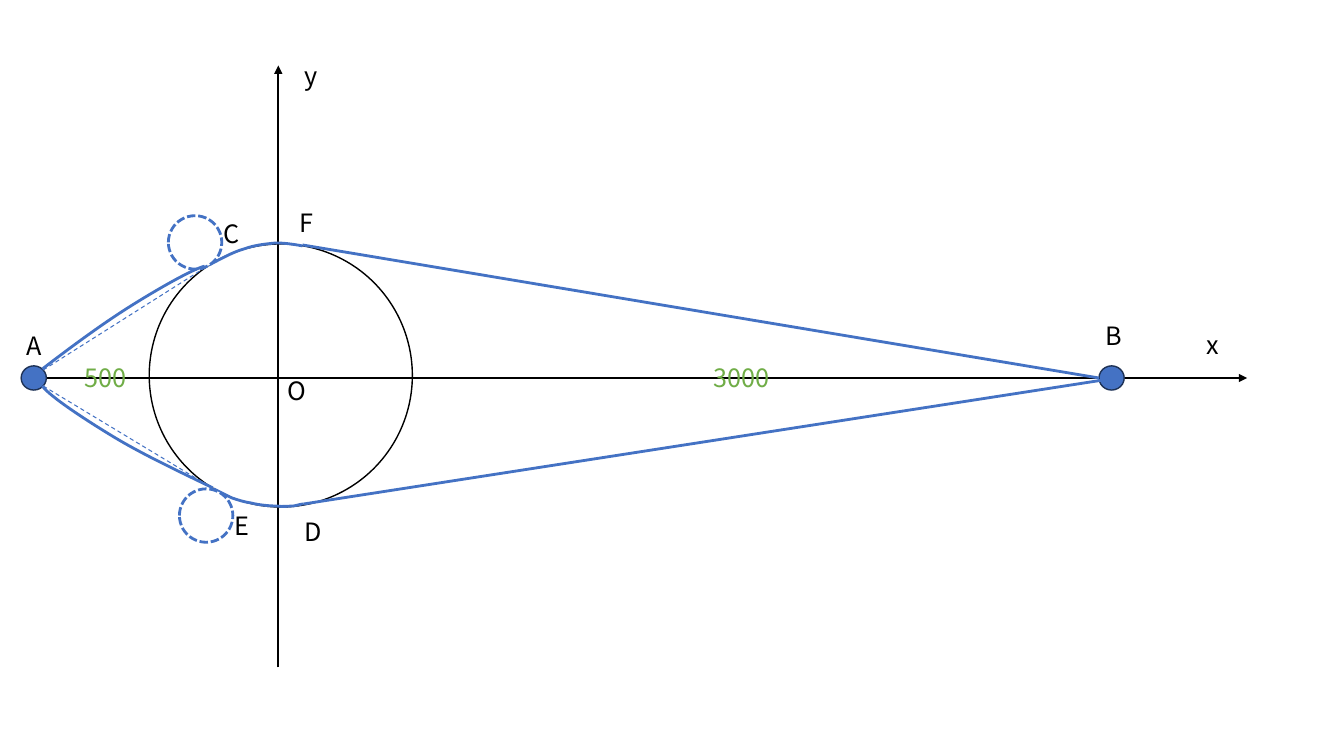
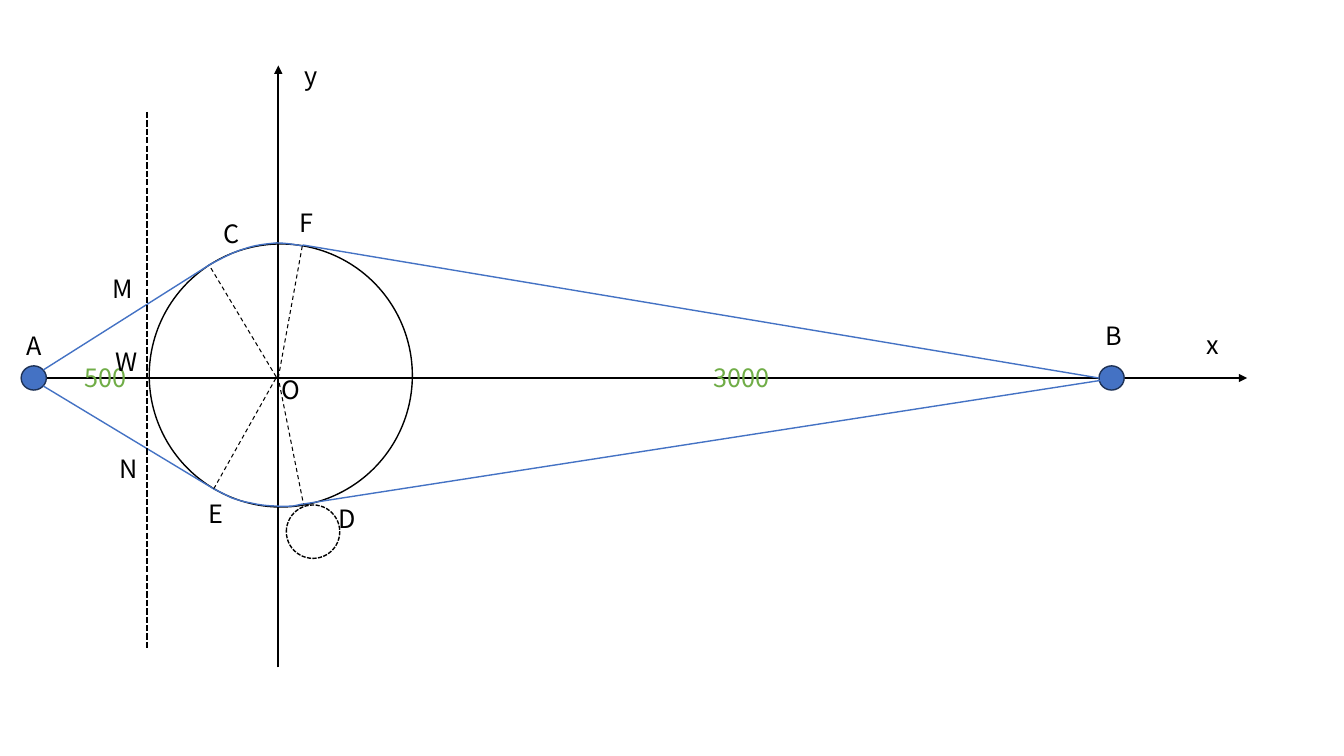
from lxml import etree
from pptx import Presentation
from pptx import util as u
from pptx.dml import color
from pptx.enum import dml, shapes, text
from pptx.oxml import ns

COLORS = {"ink": "000000", "paper": "FFFFFF", "blue": "4472C4", "navy": "1E3256", "green": "70AD47"}
RGB = {name: color.RGBColor.from_string(value) for name, value in COLORS.items()}
FONT = {"name": "Noto Sans CJK SC", "size": u.Pt(18)}
FRAME = {"word_wrap": True, "auto_size": text.MSO_AUTO_SIZE.SHAPE_TO_FIT_TEXT}
DASH = dml.MSO_LINE.DASH
SHORT_DASH = dml.MSO_LINE.SQUARE_DOT

A_TOP, A_LOW = (0.43, 3.67), (0.43, 3.83)
C, D, E, F = (2.09, 2.62), (3.01, 5), (2.12, 4.85), (3, 2.43)
ARC_CF = [(2.07, 2.63), (2.19, 2.57), (2.31, 2.5), (2.42, 2.47), (2.53, 2.43),
          (2.64, 2.42), (2.74, 2.41), (2.83, 2.41), (2.95, 2.43), (3, 2.44)]
ARC_ED = [E, (2.18, 4.88), (2.24, 4.91), (2.3, 4.94), (2.36, 4.96), (2.42, 4.98),
          (2.49, 4.99), (2.57, 5.01), (2.67, 5.02), (2.74, 5.02), (2.81, 5.03),
          (2.87, 5.02), (2.91, 5.02), (2.96, 5.01), (2.99, 5), D]
BEND_AC = [(0.42, 3.66), (0.72, 3.43), (1.02, 3.21), (1.29, 3.04), (1.56, 2.87), (1.91, 2.67), (2.03, 2.64)]
BEND_EA = [(2.11, 4.84), (1.76, 4.67), (1.4, 4.5), (1.12, 4.33), (0.84, 4.16), (0.49, 3.93), (0.42, 3.83)]

AXES = [((0.4, 3.75), (12.37, 3.75)), ((2.76, 6.62), (2.76, 0.65))]
RADII = [((2.76, 3.75), F), (E, (2.76, 3.71)), ((2.74, 3.74), (2.08, 2.64)), ((2.77, 3.8), D)]
LABELS = [("3000", 6.98, 3.55, 1.61, "green"), ("x", 11.87, 3.22, 0.45, "ink"),
          ("y", 2.92, 0.55, 0.56, "ink"), ("A", 0.16, 3.23, 0.38, "ink"),
          ("B", 10.87, 3.13, 0.45, "ink"), ("500", 0.74, 3.55, 1.12, "green"),
          ("C", 2.12, 2.12, 0.32, "ink"), ("F", 2.87, 2.01, 0.42, "ink")]

SLIDES = [
    {"route": 2, "tangent": (0.75, DASH), "dashed": [],
     "under": [], "over": [(1.67, 2.14), (1.78, 4.85)], "ring": ("blue", 2),
     "bends": [BEND_AC, BEND_EA],
     "labels": [("E", 2.23, 5.01, 0.42, "ink"), ("D", 2.92, 5.07, 0.52, "ink"),
                ("O", 2.75, 3.67, 0.52, "ink")]},
    {"route": 1, "tangent": (1, None),
     "dashed": [(a, b, 0.75, DASH) for a, b in RADII] + [((1.46, 1.11), (1.46, 6.45), 1.5, SHORT_DASH)],
     "under": [(2.84, 5.01)], "over": [], "ring": ("ink", 1),
     "bends": [],
     "labels": [("E", 1.97, 4.89, 0.42, "ink"), ("D", 3.26, 4.94, 0.52, "ink"),
                ("O", 2.69, 3.66, 0.52, "ink"), ("M", 1.02, 2.66, 0.63, "ink"),
                ("N", 1.09, 4.45, 1.24, "ink"), ("W", 1.05, 3.39, 1.04, "ink")]},
]


def outline(sp, ink, width, dash=None, arrow=False):
    sp.line.color.rgb = RGB[ink]
    sp.line.width = u.Pt(width)
    if dash:
        sp.line.dash_style = dash
    spPr = sp._element.spPr
    if arrow:
        etree.SubElement(spPr.find(ns.qn("a:ln")), ns.qn("a:tailEnd"), type="triangle")
    etree.SubElement(spPr, ns.qn("a:effectLst"))


def add_curve(s, points):
    builder = s.shapes.build_freeform(*map(u.Inches, points[0]))
    builder.add_line_segments([tuple(map(u.Inches, point)) for point in points[1:]], close=False)
    sp = builder.convert_to_shape()
    segments = list(sp._element.iter(ns.qn("a:lnTo")))
    for i in range(0, len(segments), 3):
        cubic = etree.SubElement(segments[i].getparent(), ns.qn("a:cubicBezTo"))
        for segment in segments[i:i + 3]:
            cubic.append(segment[0])
            segment.getparent().remove(segment)
    sp.fill.background()
    return sp


prs = Presentation()
prs.slide_width = u.Inches(13.33)
prs.slide_height = u.Inches(7.5)

for fig in SLIDES:
    s = prs.slides.add_slide(prs.slide_layouts[6])
    route = fig["route"]
    ring_ink, ring_width = fig["ring"]

    circle = (1.48, 2.42, 2.61, 2.61, "paper", "ink", 1)
    dots = [(x, 3.63, 0.25, 0.24, "blue", "navy", 1) for x in (0.21, 10.9)]
    under, over = [[(x, y, 0.53, 0.53, "paper", ring_ink, ring_width, SHORT_DASH) for x, y in fig[layer]]
                   for layer in ("under", "over")]
    axes = [(a, b, "ink", 1.5, None, True) for a, b in AXES]
    tangents = [(a, b, "blue", *fig["tangent"]) for a, b in ((A_TOP, C), (A_LOW, E))]
    routes = [(a, b, "blue", route) for a, b in (((10.9, 3.75), F), ((11.07, 3.75), D))]
    dashed = [(a, b, "ink", width, dash) for a, b, width, dash in fig["dashed"]]

    layers = [([circle], axes, []),
              (dots + under, tangents + routes + dashed, [ARC_CF, ARC_ED]),
              (over, [], fig["bends"])]
    for ellipses, lines, curves in layers:
        for x, y, w, h, fill, *stroke in ellipses:
            sp = s.shapes.add_shape(shapes.MSO_SHAPE.OVAL, u.Inches(x), u.Inches(y), u.Inches(w), u.Inches(h))
            sp.fill.solid()
            sp.fill.fore_color.rgb = RGB[fill]
            outline(sp, *stroke)
        for start, end, *stroke in lines:
            sp = s.shapes.add_connector(shapes.MSO_CONNECTOR.STRAIGHT, *map(u.Inches, start + end))
            outline(sp, *stroke)
        for points in curves:
            outline(add_curve(s, points), "blue", route)

    for label, x, y, w, ink in LABELS + fig["labels"]:
        tf = s.shapes.add_textbox(u.Inches(x), u.Inches(y), u.Inches(w), u.Inches(0.4)).text_frame
        for key, value in FRAME.items():
            setattr(tf, key, value)
        r = tf.paragraphs[0].add_run()
        r.text = label
        for key, value in FONT.items():
            setattr(r.font, key, value)
        r.font.color.rgb = RGB[ink]

prs.save("out.pptx")
